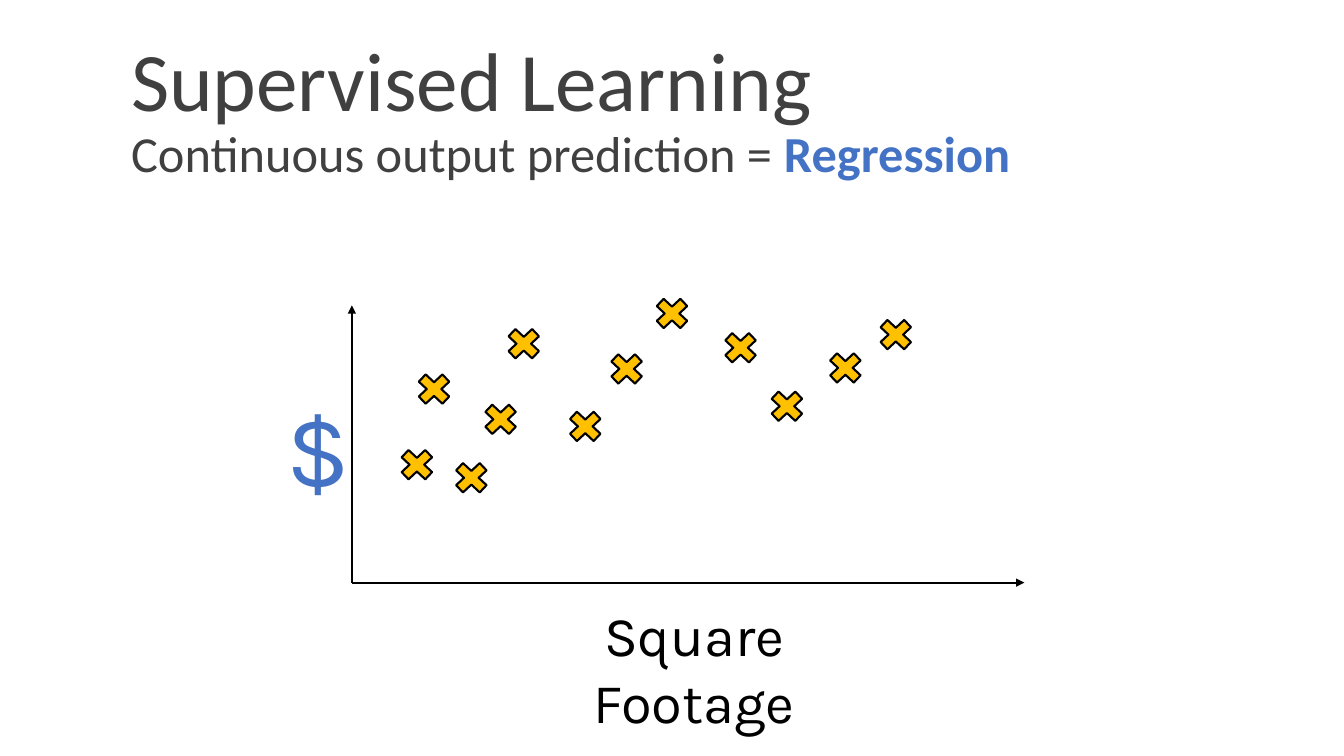
from lxml.etree import SubElement
from pptx import Presentation
from pptx.dml.color import RGBColor
from pptx.enum.shapes import MSO_CONNECTOR, MSO_SHAPE
from pptx.enum.text import MSO_ANCHOR, MSO_AUTO_SIZE, PP_ALIGN
from pptx.oxml.ns import qn
from pptx.util import Pt

EMU_PER_PX = 9144  # 100 px to the inch
SLIDE_SIZE = (1333, 750)

BLACK, GREY, BLUE, GOLD = "000000", "404040", "4472C4", "FFC000"

TITLE_BOX = (120, 31, 1110, 159)
HEADING = "Supervised Learning"
SUBTITLE = "Continuous output prediction = "
KEYWORD = "Regression"

ORIGIN = (349, 578)
AXIS_ENDS = [(1016, 578), (349, 303)]

# text, box, size, colour, wraps
AXIS_LABELS = [
    ("$", (274, 378, 75, 131), 72, BLUE, False),
    ("Square Footage", (549, 591, 279, 55), 40, BLACK, True),
]

MARKER_SIZE = (45, 42)
MARKER_CORNERS = [
    (474, 395), (391, 440), (866, 311), (599, 345), (758, 382), (497, 320),
    (712, 324), (408, 365), (644, 290), (816, 344), (558, 402), (445, 453),
]


def px(*lengths):
    return [length * EMU_PER_PX for length in lengths]


def colour(hex_string):
    return RGBColor.from_string(hex_string)


def add_run(paragraph, text, size, hex_string, font="Calibri", bold=False):
    run = paragraph.add_run()
    run.text = text
    run.font.name = font
    run.font.size = Pt(size)
    run.font.bold = bold
    run.font.color.rgb = colour(hex_string)


def set_outline(shape):
    shape.line.color.rgb = colour(BLACK)
    shape.line.width = Pt(1.5)


def fill_title(title):
    title.left, title.top, title.width, title.height = px(*TITLE_BOX)
    frame = title.text_frame
    frame.auto_size = MSO_AUTO_SIZE.NONE
    frame.vertical_anchor = MSO_ANCHOR.MIDDLE
    paragraph = frame.paragraphs[0]
    paragraph.alignment = PP_ALIGN.LEFT
    paragraph.line_spacing = 0.9
    add_run(paragraph, HEADING, 59.4, GREY)
    paragraph.add_line_break()
    add_run(paragraph, SUBTITLE, 36, GREY)
    add_run(paragraph, KEYWORD, 36, BLUE, bold=True)


def add_axis(shapes, end):
    axis = shapes.add_connector(MSO_CONNECTOR.STRAIGHT, *px(*ORIGIN, *end))
    set_outline(axis)
    SubElement(axis.line._get_or_add_ln(), qn("a:tailEnd"), type="triangle")
    SubElement(axis._element.spPr, qn("a:effectLst"))


def add_axis_label(shapes, text, box, size, hex_string, wraps):
    frame = shapes.add_textbox(*px(*box)).text_frame
    frame.word_wrap = wraps
    paragraph = frame.paragraphs[0]
    paragraph.alignment = PP_ALIGN.CENTER
    add_run(paragraph, text, size, hex_string, font="Karla")


def add_marker(shapes, corner):
    marker = shapes.add_shape(MSO_SHAPE.MATH_MULTIPLY, *px(*corner, *MARKER_SIZE))
    marker.shadow.inherit = False
    marker.fill.solid()
    marker.fill.fore_color.rgb = colour(GOLD)
    set_outline(marker)


def main():
    presentation = Presentation()
    presentation.slide_width, presentation.slide_height = px(*SLIDE_SIZE)
    slide = presentation.slides.add_slide(presentation.slide_layouts[5])
    shapes = slide.shapes
    fill_title(shapes.title)
    for end in AXIS_ENDS:
        add_axis(shapes, end)
    for label in AXIS_LABELS:
        add_axis_label(shapes, *label)
    for corner in MARKER_CORNERS:
        add_marker(shapes, corner)
    presentation.save("out.pptx")


if __name__ == "__main__":
    main()
